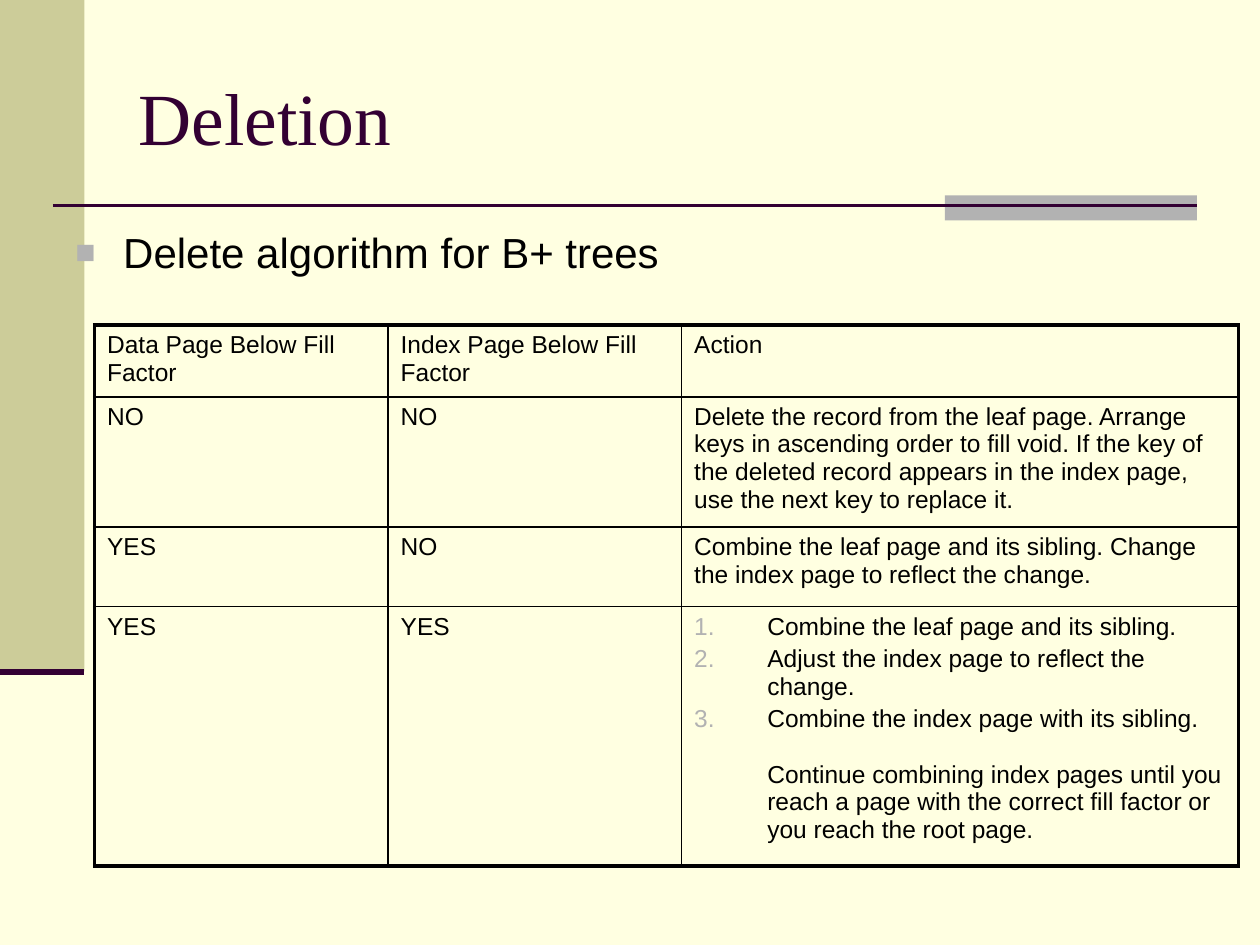
from lxml import etree
from pptx import Presentation, util as u
from pptx.dml import color
from pptx.enum import shapes, text
from pptx.oxml import ns

CM = 2.54
DARK, GRAY, KHAKI, CREAM, BLACK = "330033", "B2B2B2", "CCCC99", "FFFFE1", "000000"
HEAD = ["Data Page Below Fill Factor", "Index Page Below Fill Factor", "Action"]
ROWS = [
    HEAD,
    ["NO", "NO", "Delete the record from the leaf page. Arrange keys in ascending "
     "order to fill void. If the key of the deleted record appears in the index "
     "page, use the next key to replace it."],
    ["YES", "NO", "Combine the leaf page and its sibling. Change the index page to "
     "reflect the change."],
    ["YES", "YES", ""],
]
STEPS = [
    "Combine the leaf page and its sibling.",
    "Adjust the index page to reflect the change.",
    "Combine the index page with its sibling.",
]
LOOP = ("Continue combining index pages until you reach a page with the correct "
        "fill factor or you reach the root page.")
COLS = [2.33, 2.33, 4.42]
HIGH = [0.57, 1.03, 0.63, 2.06]


def cm(inch):
    return u.Cm(inch * CM)


def paint(item, code):
    item.rgb = color.RGBColor.from_string(code)


def fill(item, code):
    item.solid()
    paint(item.fore_color, code)


def add(parent, tag, **attrs):
    return etree.SubElement(parent, ns.qn("a:" + tag), attrs)


def write(para, words, size, name="Arial", code=BLACK):
    para.text = words
    para.alignment = text.PP_ALIGN.LEFT
    para.font.size = u.Pt(size)
    para.font.name = name
    paint(para.font.color, code)


def indent(para, width, first):
    props = para._p.get_or_add_pPr()
    props.set("marL", str(cm(width)))
    props.set("indent", str(cm(first)))
    return props


def bullet(para, width, tag, **attrs):
    props = indent(para, width, -width)
    mark = etree.Element(ns.qn("a:buClr"))
    add(mark, "srgbClr", val=GRAY)
    size = etree.Element(ns.qn("a:buSzPct"), val="80000" if tag == "buChar" else "100000")
    font = etree.Element(ns.qn("a:buFont"), typeface="Arial")
    kind = etree.Element(ns.qn("a:" + tag), attrs)
    last = props.find(ns.qn("a:defRPr"))
    for part in (mark, size, font, kind):
        last.addprevious(part)


def bar(slide, left, top, wide, high, code):
    box = slide.shapes.add_shape(shapes.MSO_SHAPE.RECTANGLE,
                                 cm(left), cm(top), cm(wide), cm(high))
    box.shadow.inherit = False
    fill(box.fill, code)
    box.line.fill.background()


def rule(slide, left, top, wide, weight):
    line = slide.shapes.add_connector(shapes.MSO_CONNECTOR.STRAIGHT,
                                      cm(left), cm(top), cm(left + wide), cm(top))
    paint(line.line.color, DARK)
    line.line.width = u.Pt(weight)
    add(line._element.spPr, "effectLst")


def decor(slide, left, top, wide):
    bar(slide, left, top, 0.67, 5.33, KHAKI)
    bar(slide, left + wide - 2.5, top + 1.55, 2, 0.2, GRAY)
    rule(slide, left + 0.42, top + 1.63, wide - 0.92, 1.5)
    rule(slide, left, top + 5.33, 0.67, 3.5)


def title(slide, left, top, wide, high):
    head = slide.shapes.title
    head.left, head.top, head.width, head.height = map(cm, (left, top, wide, high))
    frame = head.text_frame
    frame.auto_size = text.MSO_AUTO_SIZE.NONE
    frame.vertical_anchor = text.MSO_ANCHOR.MIDDLE
    write(frame.paragraphs[0], "Deletion", 42, "Times New Roman", DARK)


def lead(slide, left, top, wide, high):
    frame = slide.shapes.add_textbox(cm(left), cm(top), cm(wide), cm(high)).text_frame
    frame.word_wrap = True
    para = frame.paragraphs[0]
    write(para, "Delete algorithm for B+ trees", 24)
    bullet(para, 0.38, "buChar", char="■")


def border(cell, sides):
    props = cell._tc.get_or_add_tcPr()
    for spot, (side, weight) in enumerate(sides.items()):
        line = etree.Element(ns.qn("a:ln" + side), w=str(u.Pt(weight)))
        add(add(line, "solidFill"), "srgbClr", val=BLACK)
        props.insert(spot, line)


def steps(frame):
    for num, words in enumerate(STEPS + [LOOP]):
        para = frame.add_paragraph() if num else frame.paragraphs[0]
        write(para, words, 14)
        if words == LOOP:
            para.space_before = u.Pt(16)
            indent(para, 0.58, 0)
        else:
            para.space_before = u.Pt(2.8 if num else 0)
            bullet(para, 0.58, "buAutoNum", type="arabicPeriod")


def grid(slide, left, top):
    table = slide.shapes.add_table(len(ROWS), len(COLS), cm(left), cm(top),
                                   cm(sum(COLS)), cm(sum(HIGH))).table
    table.first_row = table.horz_banding = False
    for col, wide in zip(table.columns, COLS):
        col.width = cm(wide)
    for r, row in enumerate(ROWS):
        table.rows[r].height = cm(HIGH[r])
        for c, words in enumerate(row):
            cell = table.cell(r, c)
            cell.fill.background()
            edges = {"L": c == 0, "R": c == len(COLS) - 1,
                     "T": r == 0, "B": r == len(ROWS) - 1}
            border(cell, {side: 2.25 if outer else 1 for side, outer in edges.items()})
            if words:
                write(cell.text_frame.paragraphs[0], words, 14)
            else:
                steps(cell.text_frame)


def main():
    deck = Presentation()
    deck.slide_width, deck.slide_height = cm(10), cm(7.5)
    slide = deck.slides.add_slide(deck.slide_layouts[5])
    fill(slide.background.fill, CREAM)
    decor(slide, 0, 0, 10)
    title(slide, 1, 0.3, 8.5, 1.25)
    lead(slide, 0.5, 1.75, 9.5, 0.6)
    grid(slide, 0.75, 2.58)
    deck.save("out.pptx")


if __name__ == "__main__":
    main()
